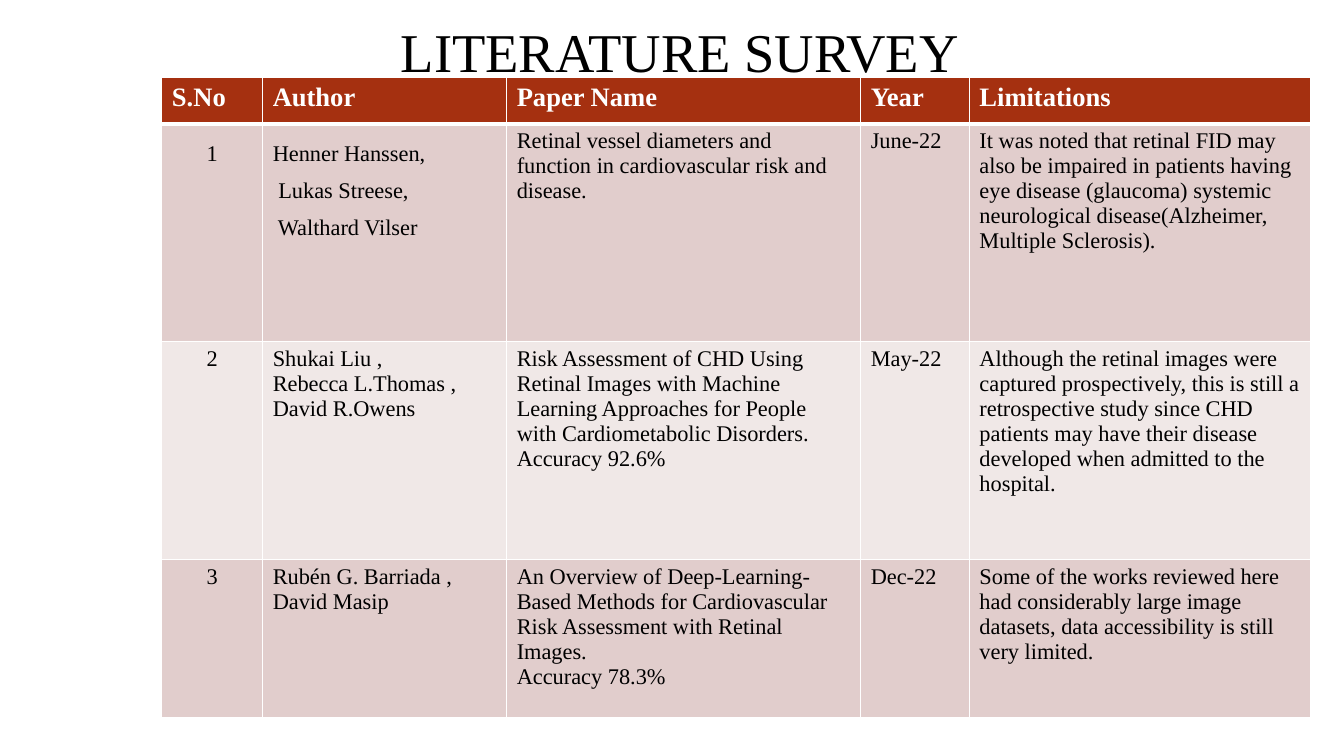
"""Build the literature survey slide with its table of reviewed papers."""
import dataclasses

import lxml.etree
import pptx
import pptx.dml.color
import pptx.enum.text
import pptx.oxml.ns
import pptx.slide
import pptx.table
import pptx.text.text
import pptx.util
from pptx.util import Cm

FONT = "Times New Roman"
WHITE, BLACK = "FFFFFF", "000000"
HEADER_FILL = "A53010"
BAND_FILLS = ("E1CDCC", "F0E8E7")
HEADINGS = ("S.No", "Author", "Paper Name", "Year", "Limitations")
COLUMN_WIDTHS = (2.54, 6.15, 8.92, 2.74, 8.61)
HEADER_HEIGHT = 1.17
TABLE_LEFT, TABLE_TOP = 4.08, 1.95


@dataclasses.dataclass(frozen=True)
class Paper:
    """One reviewed paper, a row of the survey."""
    authors: str
    name: str
    year: str
    limitations: str
    height: float
    author_spacing: float = 1.0


PAPERS = (
    Paper("Henner Hanssen,\n Lukas Streese,\n Walthard Vilser",
          "Retinal vessel diameters and function in cardiovascular risk and disease.",
          "June-22",
          "It was noted that retinal FID may also be impaired in patients having eye disease "
          "(glaucoma) systemic neurological disease(Alzheimer, Multiple Sclerosis).",
          5.49, author_spacing=1.5),
    Paper("Shukai Liu ,\nRebecca L.Thomas ,\nDavid R.Owens",
          "Risk Assessment of CHD Using Retinal Images with Machine Learning Approaches for "
          "People with Cardiometabolic Disorders.\nAccuracy 92.6%",
          "May-22",
          "Although the retinal images were captured prospectively, this is still a "
          "retrospective study since CHD patients may have their disease developed when "
          "admitted to the hospital.",
          5.49),
    Paper("Rubén G. Barriada , David Masip",
          "An Overview of Deep-Learning-Based Methods for Cardiovascular Risk Assessment with "
          "Retinal Images.\nAccuracy 78.3%",
          "Dec-22",
          "Some of the works reviewed here had considerably large image datasets, data "
          "accessibility is still very limited.",
          3.99),
)


def color(value: str) -> pptx.dml.color.RGBColor:
    """Turn a hex string into a colour."""
    return pptx.dml.color.RGBColor.from_string(value)


def write(frame: pptx.text.text.TextFrame, text: str, *, size: float = 16,
          ink: str = BLACK, bold: bool = False, centered: bool = False,
          spacing: float = 1.0) -> None:
    """Write each line of the text as a formatted paragraph."""
    for index, line in enumerate(text.split("\n")):
        paragraph = frame.add_paragraph() if index else frame.paragraphs[0]
        paragraph.line_spacing = spacing
        align = pptx.enum.text.PP_ALIGN
        paragraph.alignment = align.CENTER if centered else align.LEFT
        run = paragraph.add_run()
        run.text = line
        run.font.name = FONT
        run.font.size = pptx.util.Pt(size)
        run.font.bold = bold
        run.font.color.rgb = color(ink)


def style_cell(cell: pptx.table._Cell, fill: str, top: float = 1, bottom: float = 1) -> None:
    """Give a cell white borders and a solid fill."""
    properties = cell._tc.get_or_add_tcPr()
    qn = pptx.oxml.ns.qn
    for side, width in (("L", 1), ("R", 1), ("T", top), ("B", bottom)):
        border = lxml.etree.SubElement(properties, qn(f"a:ln{side}"),
                                       w=str(pptx.util.Pt(width)))
        solid = lxml.etree.SubElement(border, qn("a:solidFill"))
        lxml.etree.SubElement(solid, qn("a:srgbClr"), val=WHITE)
    cell.fill.solid()
    cell.fill.fore_color.rgb = color(fill)


def add_survey(slide: pptx.slide.Slide) -> None:
    """Add the table of papers."""
    heights = (HEADER_HEIGHT, *(paper.height for paper in PAPERS))
    survey = slide.shapes.add_table(
        len(heights), len(HEADINGS), Cm(TABLE_LEFT), Cm(TABLE_TOP),
        Cm(sum(COLUMN_WIDTHS)), Cm(sum(heights))).table
    for column, width in zip(survey.columns, COLUMN_WIDTHS):
        column.width = Cm(width)
    for row, height in zip(survey.rows, heights):
        row.height = Cm(height)
    for column, heading in enumerate(HEADINGS):
        cell = survey.cell(0, column)
        style_cell(cell, HEADER_FILL, bottom=3)
        write(cell.text_frame, heading, size=19, ink=WHITE, bold=True)
    for number, paper in enumerate(PAPERS, start=1):
        entries = (str(number), paper.authors, paper.name, paper.year, paper.limitations)
        for column, entry in enumerate(entries):
            cell = survey.cell(number, column)
            style_cell(cell, BAND_FILLS[(number - 1) % 2], top=3 if number == 1 else 1)
            write(cell.text_frame, entry, centered=column == 0,
                  spacing=paper.author_spacing if column < 2 else 1.0)


def add_title(slide: pptx.slide.Slide) -> None:
    """Add the slide heading."""
    title = slide.shapes.add_textbox(Cm(8.13), Cm(0.33), Cm(18.42), Cm(1.93)).text_frame
    title.word_wrap = True
    title.margin_left = Cm(1.97)
    write(title, "LITERATURE SURVEY", size=39)


def main() -> None:
    """Build and save the presentation."""
    deck = pptx.Presentation()
    deck.slide_width, deck.slide_height = Cm(33.87), Cm(19.05)
    slide = deck.slides.add_slide(deck.slide_layouts[6])
    add_survey(slide)
    add_title(slide)
    deck.save("out.pptx")


if __name__ == "__main__":
    main()
